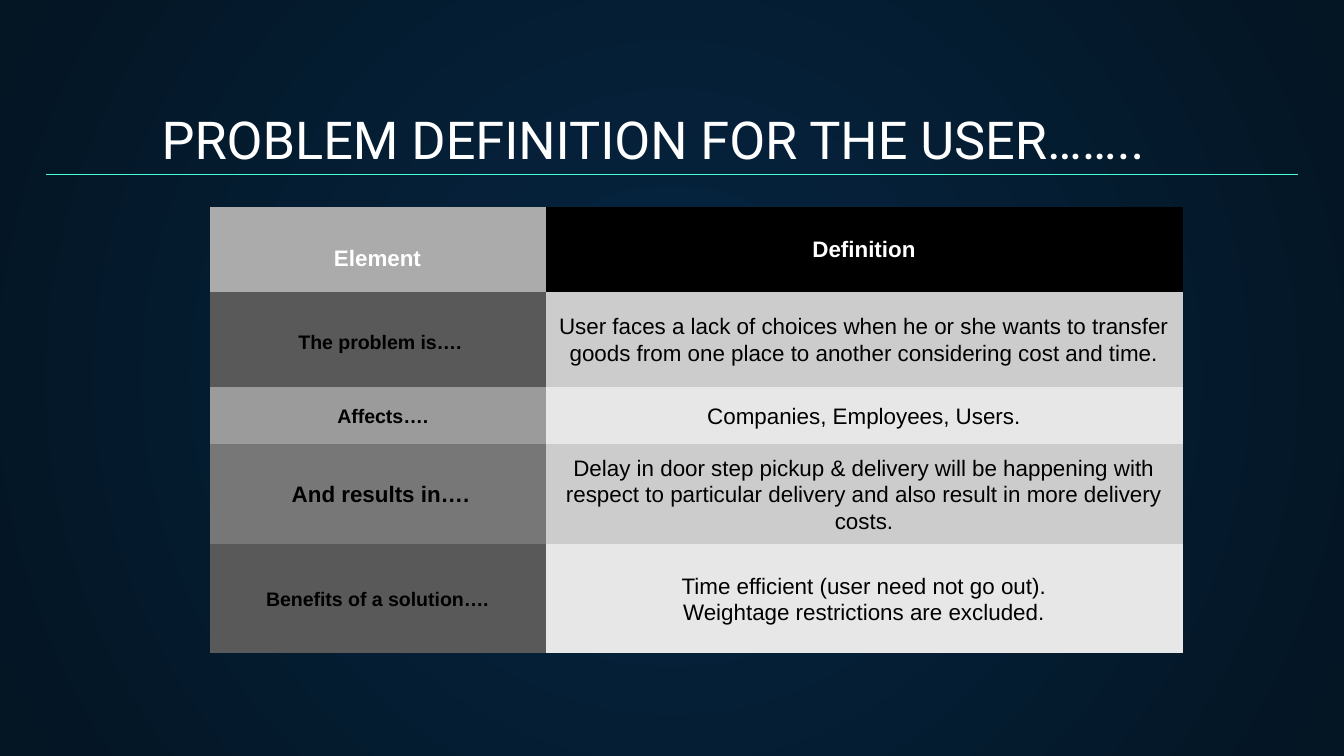
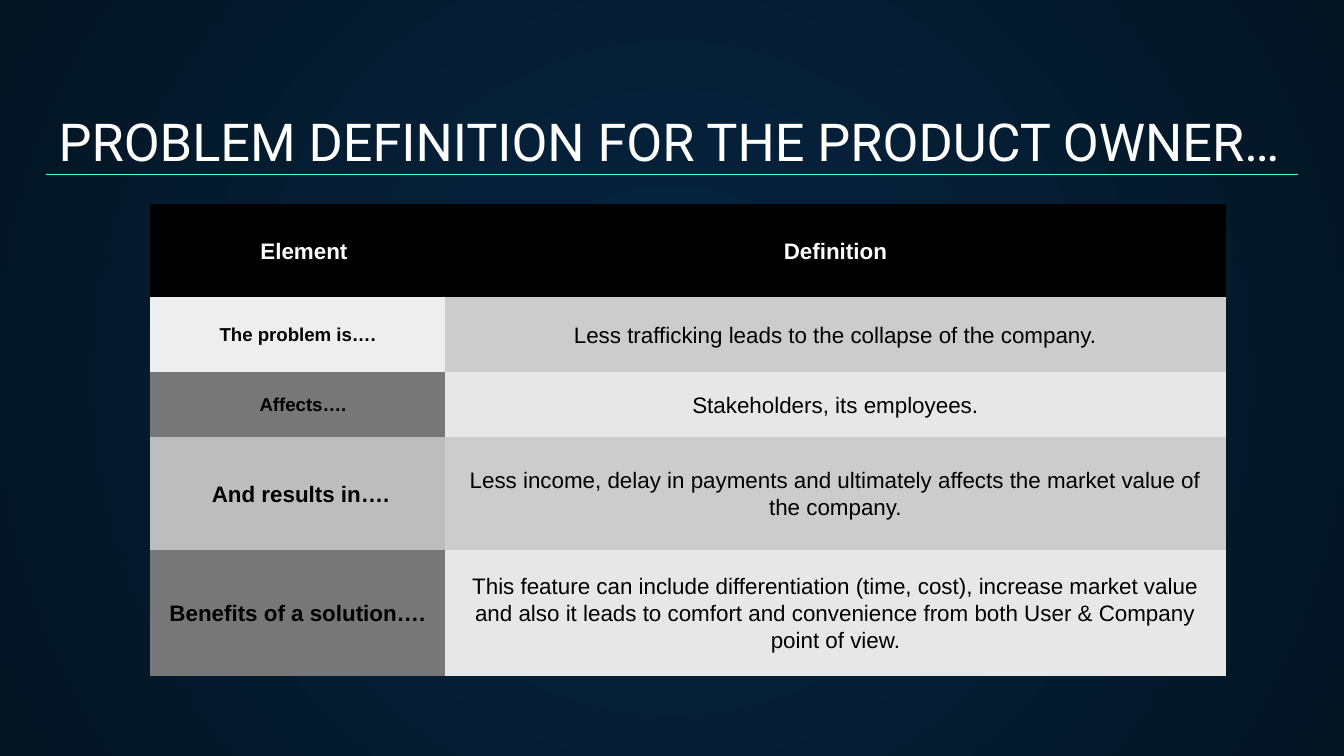
"""Build two problem-definition slides, each a ruled title above a two-column table."""
import dataclasses

import lxml.etree
import pptx
import pptx.dml.color
import pptx.enum.shapes
import pptx.enum.text
import pptx.oxml.ns
import pptx.util

Cm = pptx.util.Cm
Pt = pptx.util.Pt
qn = pptx.oxml.ns.qn
rgb = pptx.dml.color.RGBColor.from_string
ALIGN = pptx.enum.text.PP_ALIGN
MIDDLE = pptx.enum.text.MSO_ANCHOR.MIDDLE


@dataclasses.dataclass(frozen=True)
class Theme:
    """Colours, fonts and sizes shared by the slides."""
    glow: str = "052643"
    night: str = "041523"
    rule: str = "48FFD5"
    light: str = "FFFFFF"
    dark: str = "000000"
    bands: tuple = ("CCCCCC", "E7E7E7")
    title_font: str = "Roboto"
    table_font: str = "Arial"
    title_size: float = 28
    body_size: float = 12
    line_spacing: float = 1.07
    cell_margin: float = 0.13
    no_grid_style: str = "{2D5ABB26-0587-4C30-8999-92F81FD0307C}"


theme = Theme()

# Each row holds: label, label size, label fill, left indent and top offset in cm, definition.
pages = [
    {
        "title": "PROBLEM DEFINITION FOR THE USER……..",
        "title_box": (0.15, 1.78, 24.38, 1.68),
        "title_align": ALIGN.CENTER,
        "table_at": (3.96, 3.91),
        "columns": (6.35, 12.04),
        "heights": (1.6, 1.81, 1.07, 1.9, 2.06),
        "rows": [
            ("Element", 12, "ABABAB", 0, 0.32, "Definition"),
            ("The problem is….", 10.5, "595959", 0.1, 0.08,
             "User faces a lack of choices when he or she wants to transfer goods "
             "from one place to another considering cost and time."),
            ("Affects….", 10.5, "9B9B9B", 0.2, 0, "Companies, Employees, Users."),
            ("And results in….", 12, "777777", 0.12, 0,
             "Delay in door step pickup & delivery will be happening with respect to "
             "particular delivery and also result in more delivery costs."),
            ("Benefits of a solution….", 10.5, "595959", 0, 0,
             "Time efficient (user need not go out).\nWeightage restrictions are excluded."),
        ],
    },
    {
        "title": "PROBLEM DEFINITION FOR THE PRODUCT OWNER…",
        "title_box": (0.86, 1.83, 25.86, 1.68),
        "title_align": ALIGN.LEFT,
        "table_at": (2.84, 3.86),
        "columns": (5.57, 14.76),
        "heights": (1.75, 1.42, 1.23, 2.13, 2.39),
        "rows": [
            ("Element", 12, "000000", 0.24, 0, "Definition"),
            ("The problem is….", 10, "EEEEEE", 0, 0,
             "Less trafficking leads to the collapse of the company."),
            ("Affects….", 10, "777777", 0.2, 0, "Stakeholders, its employees."),
            ("And results in….", 12, "BDBDBD", 0.12, 0,
             "Less income, delay in payments and ultimately affects the market value "
             "of the company."),
            ("Benefits of a solution….", 12, "777777", 0, 0,
             "This feature can include differentiation (time, cost), increase market "
             "value and also it leads to comfort and convenience from both User & "
             "Company point of view."),
        ],
    },
]


def fill_cell(cell, text, size, bold, colour, background, indent=0, drop=0):
    """Write centred text into a table cell and paint it."""
    cell.fill.solid()
    cell.fill.fore_color.rgb = rgb(background)
    cell.vertical_anchor = MIDDLE
    cell.margin_left = Cm(theme.cell_margin + indent)
    cell.margin_right = Cm(theme.cell_margin)
    cell.margin_top = Cm(drop)
    cell.margin_bottom = 0
    cell.text_frame.text = text
    for paragraph in cell.text_frame.paragraphs:
        paragraph.alignment = ALIGN.CENTER
        paragraph.line_spacing = theme.line_spacing
        paragraph.font.name = theme.table_font
        paragraph.font.size = Pt(size)
        paragraph.font.bold = bold
        paragraph.font.color.rgb = rgb(colour)


presentation = pptx.Presentation()
presentation.slide_width = Cm(25.4)
presentation.slide_height = Cm(14.29)

master = presentation.slide_master
background_fill = master.background.fill
background_fill.gradient()
for stop, colour, position in zip(background_fill.gradient_stops, (theme.glow, theme.night), (0, 1)):
    stop.color.rgb = rgb(colour)
    stop.position = position
gradient = master.element.find(".//" + qn("a:gradFill"))
gradient.remove(gradient.find(qn("a:lin")))
circle = lxml.etree.SubElement(gradient, qn("a:path"), {"path": "circle"})
lxml.etree.SubElement(circle, qn("a:fillToRect"), dict.fromkeys("ltrb", "50000"))

for page in pages:
    slide = presentation.slides.add_slide(presentation.slide_layouts[5])

    title = slide.shapes.title
    title.left, title.top, title.width, title.height = map(Cm, page["title_box"])
    frame = title.text_frame
    frame.text = page["title"]
    frame.word_wrap = True
    frame.auto_size = pptx.enum.text.MSO_AUTO_SIZE.NONE
    frame.vertical_anchor = pptx.enum.text.MSO_ANCHOR.BOTTOM
    frame.margin_left = frame.margin_right = frame.margin_top = frame.margin_bottom = Cm(0.25)
    paragraph = frame.paragraphs[0]
    paragraph.alignment = page["title_align"]
    paragraph.font.name = theme.title_font
    paragraph.font.size = Pt(theme.title_size)
    paragraph.font.color.rgb = rgb(theme.light)

    rule = slide.shapes.add_connector(
        pptx.enum.shapes.MSO_CONNECTOR.STRAIGHT, Cm(0.87), Cm(3.3), Cm(24.53), Cm(3.3))
    rule.line.color.rgb = rgb(theme.rule)
    rule.line.width = Pt(0.75)
    lxml.etree.SubElement(rule.element.find(qn("p:spPr")), qn("a:effectLst"))

    left, top = page["table_at"]
    table_frame = slide.shapes.add_table(
        len(page["rows"]), len(page["columns"]), Cm(left), Cm(top),
        Cm(sum(page["columns"])), Cm(sum(page["heights"])))
    table_frame.element.find(".//" + qn("a:tableStyleId")).text = theme.no_grid_style
    table = table_frame.table
    table.first_row = table.horz_banding = False
    for column, width in zip(table.columns, page["columns"]):
        column.width = Cm(width)
    for row, height in zip(table.rows, page["heights"]):
        row.height = Cm(height)

    for index, (label, size, shade, indent, drop, definition) in enumerate(page["rows"]):
        is_header = index == 0
        colour = theme.light if is_header else theme.dark
        band = theme.dark if is_header else theme.bands[(index - 1) % 2]
        fill_cell(table.cell(index, 0), label, size, True, colour, shade, indent, drop)
        fill_cell(table.cell(index, 1), definition, theme.body_size, is_header, colour, band)

presentation.save("out.pptx")
